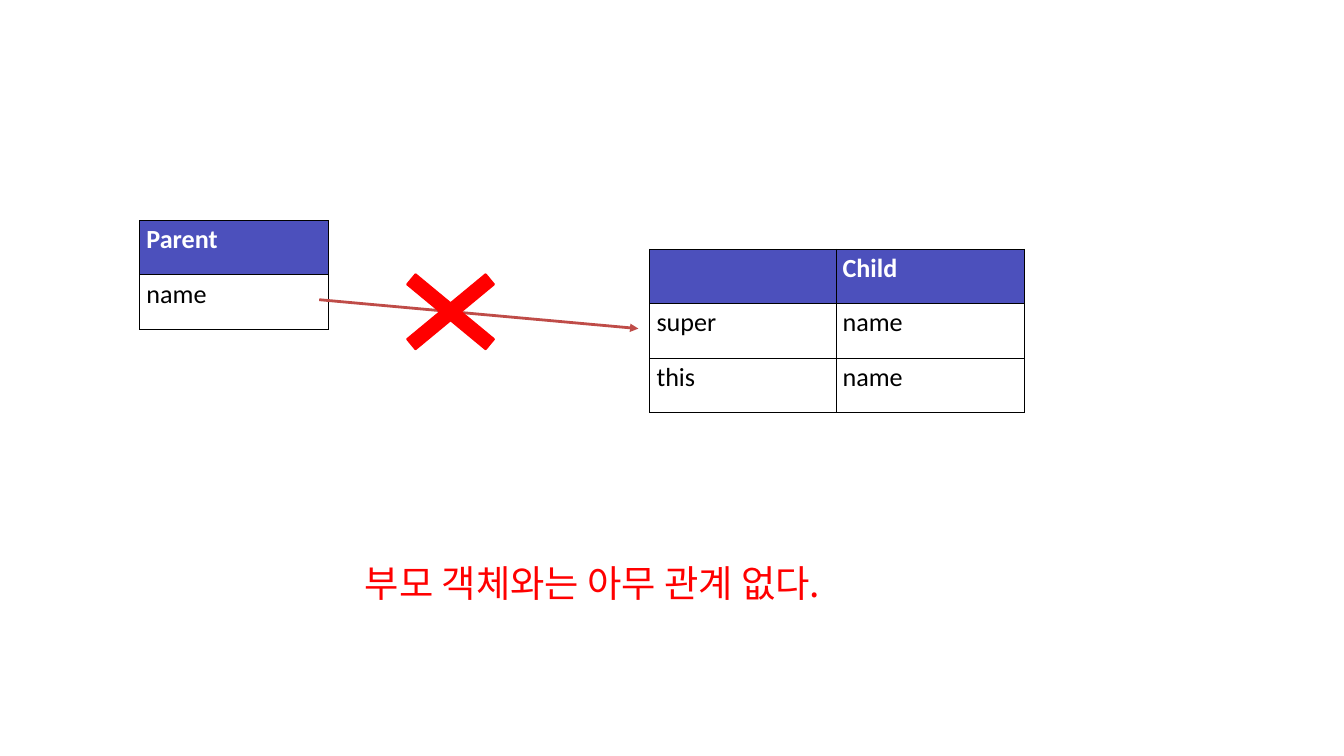
from lxml.etree import SubElement
from pptx import Presentation
from pptx.dml.color import RGBColor
from pptx.enum.shapes import MSO_CONNECTOR, MSO_SHAPE
from pptx.oxml.ns import qn
from pptx.util import Inches, Pt

ROW_HEIGHT = 0.81
HEADER, RED, ARROW = "4C50BC", "FF0000", "BF4C48"
BLACK, WHITE = "000000", "FFFFFF"


def color(value):
    """Turn a hex string into a colour."""
    return RGBColor.from_string(value)


def set_font(paragraph, name, size, value, bold=False):
    """Format all the text of a paragraph."""
    font = paragraph.font
    font.name, font.size, font.bold = name, Pt(size), bold
    font.color.rgb = color(value)


def add_borders(cell):
    """Draw a thin black line on each side of a cell."""
    properties = cell._tc.get_or_add_tcPr()
    for index, side in enumerate(("a:lnL", "a:lnR", "a:lnT", "a:lnB")):
        line = properties.makeelement(qn(side), {"w": str(Pt(1))})
        fill = SubElement(line, qn("a:solidFill"))
        SubElement(fill, qn("a:srgbClr"), val=BLACK)
        properties.insert(index, line)


def add_object_table(slide, left, top, widths, rows):
    """Add a table of object fields under a coloured header row."""
    frame = slide.shapes.add_table(
        len(rows), len(widths), Inches(left), Inches(top),
        Inches(sum(widths)), Inches(ROW_HEIGHT * len(rows)))
    table = frame.table
    for column, width in zip(table.columns, widths):
        column.width = Inches(width)
    for row_index, texts in enumerate(rows):
        table.rows[row_index].height = Inches(ROW_HEIGHT)
        is_header = row_index == 0
        for column_index, text in enumerate(texts):
            cell = table.cell(row_index, column_index)
            cell.text = text
            cell.fill.solid()
            cell.fill.fore_color.rgb = color(HEADER if is_header else WHITE)
            set_font(cell.text_frame.paragraphs[0], "Calibri", 28,
                     WHITE if is_header else BLACK, is_header)
            add_borders(cell)


def add_arrow(slide, start, end):
    """Add a straight arrow between two points."""
    arrow = slide.shapes.add_connector(
        MSO_CONNECTOR.STRAIGHT, *map(Inches, start + end))
    arrow.line.color.rgb = color(ARROW)
    arrow.line.width = Pt(3)
    SubElement(arrow.line._get_or_add_ln(), qn("a:tailEnd"), type="triangle")
    SubElement(arrow._element.spPr, qn("a:effectLst"))


def add_cross(slide, left, top, width, height):
    """Add a red cross that strikes out the arrow."""
    cross = slide.shapes.add_shape(
        MSO_SHAPE.MATH_MULTIPLY, *map(Inches, (left, top, width, height)))
    cross.adjustments[0] = 0.106
    cross.shadow.inherit = False
    cross.fill.solid()
    cross.fill.fore_color.rgb = color(RED)
    cross.line.color.rgb = color(RED)
    cross.line.width = Pt(2)


def add_caption(slide, text, left, top, width, height):
    """Add a red line of Korean text."""
    box = slide.shapes.add_textbox(*map(Inches, (left, top, width, height)))
    box.text_frame.word_wrap = True
    paragraph = box.text_frame.paragraphs[0]
    run = paragraph.add_run()
    run.text = text
    set_font(run, "Noto Sans CJK KR", 40, RED)
    SubElement(run.font._element, qn("a:ea"), typeface="Noto Sans CJK KR")


def main():
    """Build the slide and save it."""
    presentation = Presentation()
    presentation.slide_width, presentation.slide_height = Inches(20), Inches(11.25)
    slide = presentation.slides.add_slide(presentation.slide_layouts[6])
    add_object_table(slide, 9.67, 3.71, [2.77, 2.81],
                     [["", "Child"], ["super", "name"], ["this", "name"]])
    add_object_table(slide, 2.08, 3.28, [2.81], [["Parent"], ["name"]])
    add_arrow(slide, (4.75, 4.46), (9.5, 4.89))
    add_cross(slide, 5.58, 3.71, 2.25, 1.86)
    add_caption(slide, "부모 객체와는 아무 관계 없다.", 5.33, 8.29, 9.67, 0.77)
    presentation.save("out.pptx")


if __name__ == "__main__":
    main()
